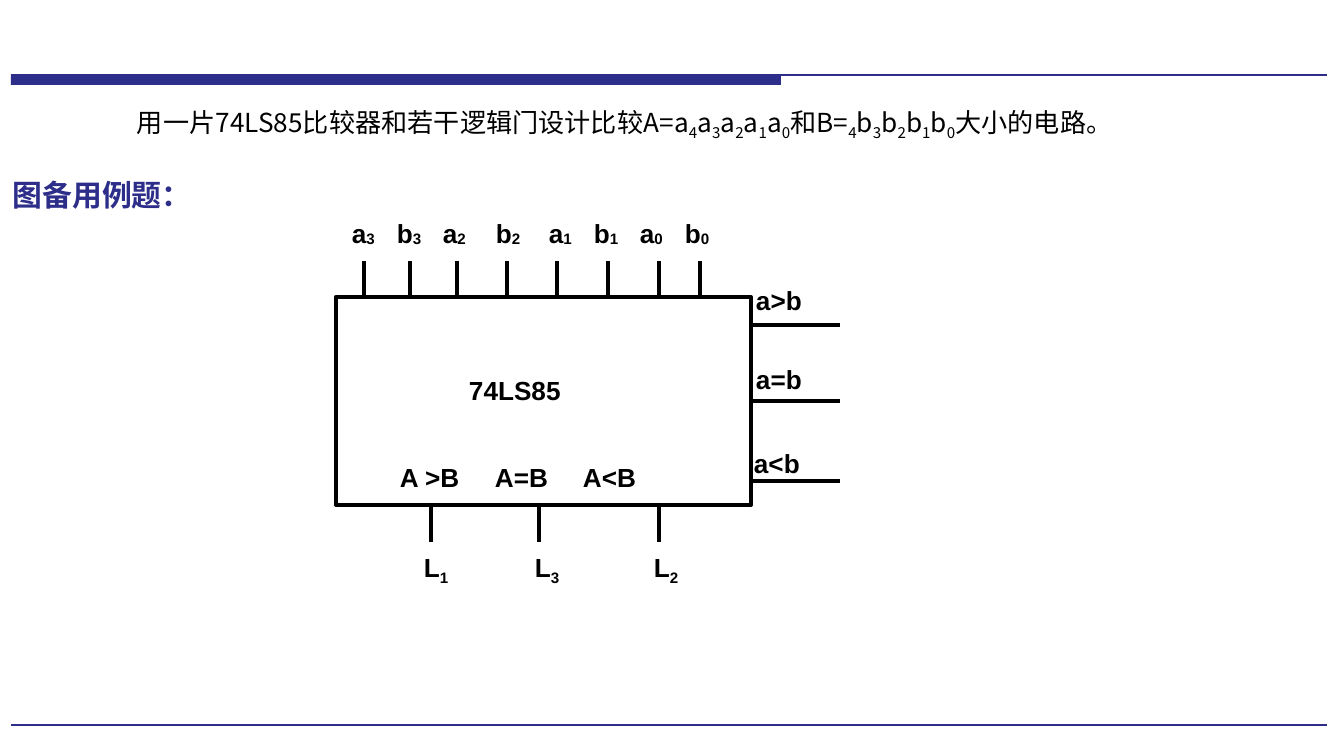
"""Build the slide on the 74LS85 comparator circuit."""
from lxml.etree import SubElement
from pptx import Presentation
from pptx.dml.color import RGBColor
from pptx.enum.shapes import MSO_CONNECTOR, MSO_SHAPE
from pptx.enum.text import MSO_ANCHOR
from pptx.oxml.ns import qn
from pptx.util import Emu, Pt

SCALE = 914400 / 134.4
NAVY = RGBColor(0x2D, 0x2D, 0x8A)
BLACK = RGBColor(0, 0, 0)
LATIN = "Arial"
HAN = "Noto Sans CJK SC"


def px(*sizes):
    return [Emu(round(size * SCALE)) for size in sizes]


class Board:
    """Hold the style and the slide being drawn."""

    def __init__(self, slide):
        self.shapes = slide.shapes
        self.size = 14
        self.width = 2.25

    def line(self, x1, y1, x2, y2, color=BLACK, width=None):
        wire = self.shapes.add_connector(MSO_CONNECTOR.STRAIGHT, *px(x1, y1, x2, y2))
        wire.line.color.rgb = color
        wire.line.width = Pt(width or self.width)
        SubElement(wire._element.spPr, qn("a:effectLst"))
        return wire

    def box(self, x, y, w, h, fill=None):
        shape = self.shapes.add_shape(MSO_SHAPE.RECTANGLE, *px(x, y, w, h))
        shape.shadow.inherit = False
        if fill:
            shape.fill.solid()
            shape.fill.fore_color.rgb = fill
            shape.line.fill.background()
        else:
            shape.fill.background()
            shape.line.color.rgb = BLACK
            shape.line.width = Pt(self.width)
        return shape

    def text(self, words, x, y, w=80, h=46, size=None, font=LATIN,
             color=BLACK, bold=True, drop=-25):
        frame = self.shapes.add_textbox(*px(x, y, w, h)).text_frame
        frame.word_wrap = True
        frame.vertical_anchor = MSO_ANCHOR.MIDDLE
        frame.margin_left = frame.margin_right = 0
        frame.margin_top = frame.margin_bottom = 0
        first, *rest = words.split("_")
        pieces = [(first, 0)]
        for part in rest:
            pieces += [(part[0], drop), (part[1:], 0)]
        for piece, base in pieces:
            if not piece:
                continue
            run = frame.paragraphs[0].add_run()
            run.text = piece
            run.font.size = Pt(size or self.size)
            run.font.bold = bold
            run.font.color.rgb = color
            run.font.name = font
            props = run._r.get_or_add_rPr()
            SubElement(props, qn("a:ea")).set("typeface", font)
            if base:
                props.set("baseline", str(base * 1000))


def main():
    deck = Presentation()
    deck.slide_width, deck.slide_height = px(1344, 756)
    board = Board(deck.slides.add_slide(deck.slide_layouts[6]))

    board.box(11, 75, 770, 10, fill=NAVY)
    board.line(11, 75, 1327, 75, color=NAVY, width=0.75)
    board.line(11, 725, 1327, 725, color=NAVY, width=1.25)
    board.text("用一片74LS85比较器和若干逻辑门设计比较A=a_4a_3a_2a_1a_0"
               "和B=_4b_3b_2b_1b_0大小的电路。",
               137, 101, w=1060, font=HAN, bold=False)
    board.text("图备用例题：", 13, 172, w=300, size=16, font=HAN, color=NAVY)

    left, top, wide, high = 336, 297, 415, 208
    right, base = left + wide, top + high
    chip = board.box(left, top, wide, high)
    board.text("74LS85", 469, 367, w=120)

    inputs = [("a_3", 352, 364), ("b_3", 397, 410), ("a_2", 443, 457),
              ("b_2", 496, 507), ("a_1", 549, 557), ("b_1", 594, 608),
              ("a_0", 640, 659), ("b_0", 685, 700)]
    for name, x, pin in inputs:
        board.text(name, x, 210, w=40, drop=-5)
        board.line(pin, top, pin, top - 36)

    outputs = [("A >B", 400, "L_1", 424, 431), ("A=B", 495, "L_3", 535, 539),
               ("A<B", 583, "L_2", 654, 659)]
    for sign, x, name, spot, pin in outputs:
        board.text(sign, x, 454)
        board.text(name, spot, 546, w=40)
        board.line(pin, base, pin, base + 37)

    middle = top + high // 2
    for sign, x, y, pin in [("a>b", 756, 277, 325), ("a=b", 756, 356, middle),
                            ("a<b", 754, 440, 481)]:
        board.text(sign, x, y)
        wire = board.line(right, pin, 840, pin)
        if pin == middle:
            wire.begin_connect(chip, 3)

    deck.save("out.pptx")


if __name__ == "__main__":
    main()
